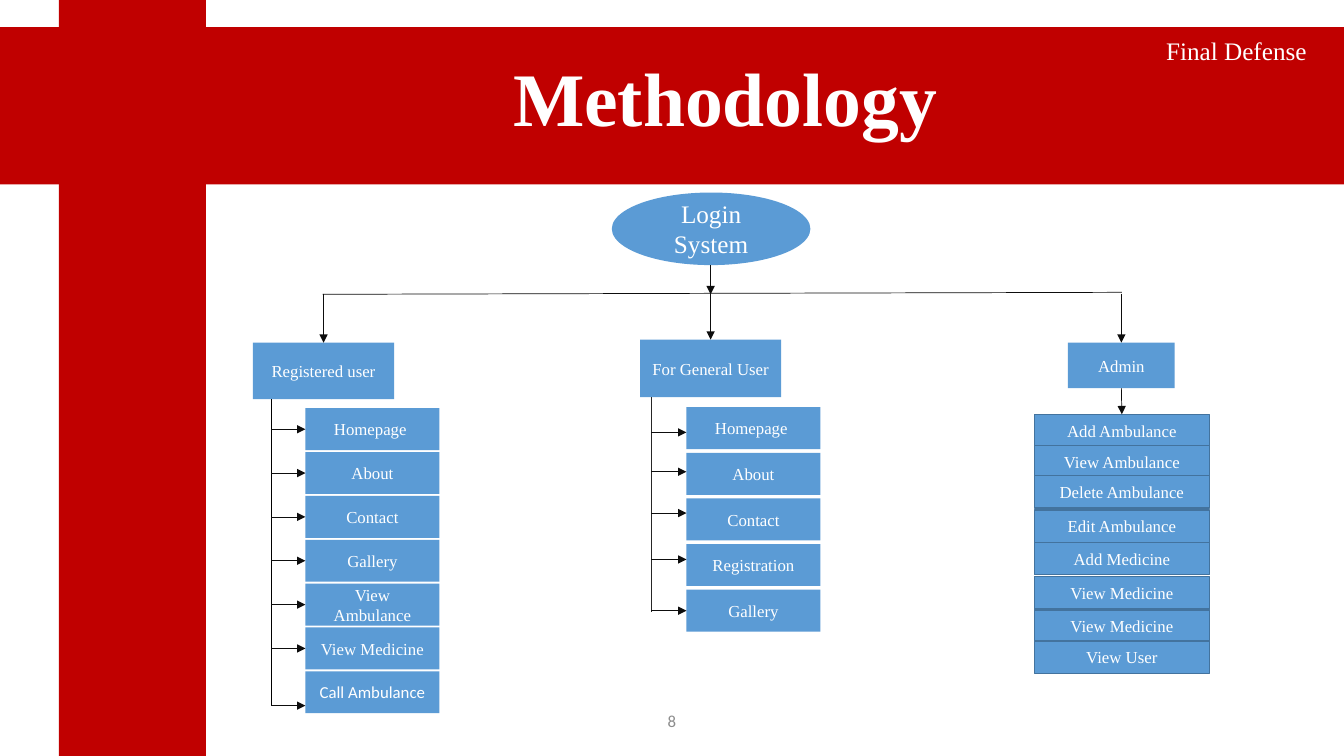
from dataclasses import dataclass
from typing import NamedTuple, Optional

from lxml.etree import SubElement
from pptx import Presentation
from pptx.dml.color import RGBColor as Rgb
from pptx.enum.shapes import MSO_CONNECTOR as Link, MSO_SHAPE as Preset
from pptx.enum.text import MSO_ANCHOR as Anchor, MSO_AUTO_SIZE as AutoSize, PP_ALIGN as Align
from pptx.oxml.ns import qn
from pptx.shapes.autoshape import Shape
from pptx.shapes.connector import Connector
from pptx.util import Inches, Pt

COLUMNS, ROWS = 160, 90
TOP, LEFT, BOTTOM = 0, 1, 2


@dataclass(frozen=True)
class Theme:
    red: str = "C00000"
    blue: str = "5B9BD5"
    outline: str = "43739E"
    white: str = "FFFFFF"
    arrow: str = "0D0D0D"
    black: str = "000000"
    charcoal: str = "262626"
    gray: str = "8C8C8C"
    serif: str = "Times New Roman"
    sans: str = "Calibri"
    title: int = 54
    heading: int = 18
    label: int = 12
    thin: float = 0.5


class Area(NamedTuple):
    column: float
    row: float
    columns: float
    rows: float

    @property
    def middle(self) -> float:
        return self.row + self.rows / 2


class Item(NamedTuple):
    text: str
    font: str


@dataclass(frozen=True)
class Menu:
    name: str
    head: Area
    first: Area
    items: tuple[Item, ...]
    tops: tuple[float, ...]
    outline: Optional[str] = None
    stem: float = 0
    stem_color: str = ""
    arrows: tuple[float, ...] = ()


THEME = Theme()

deck = Presentation()
deck.slide_width, deck.slide_height = Inches(13.333), Inches(7.5)
page = deck.slides.add_slide(deck.slide_layouts[5])


def across(columns: float) -> int:
    return round(deck.slide_width * columns / COLUMNS)


def down(rows: float) -> int:
    return round(deck.slide_height * rows / ROWS)


def frame(area: Area) -> tuple[int, int, int, int]:
    return across(area.column), down(area.row), across(area.columns), down(area.rows)


def evenly(start: float, pitch: float, count: int) -> tuple[float, ...]:
    return tuple(start + pitch * index for index in range(count))


def items(*names: str, font: str = THEME.serif) -> tuple[Item, ...]:
    return tuple(Item(name, font) for name in names)


def write(box: Shape, text: str, *, size: int = THEME.label, font: str = THEME.serif,
          color: str = THEME.white, bold: bool = False, align: Align = Align.CENTER,
          anchor: Anchor = Anchor.MIDDLE, wrap: bool = True) -> None:
    text_frame = box.text_frame
    text_frame.word_wrap = wrap
    text_frame.auto_size = AutoSize.NONE
    text_frame.vertical_anchor = anchor
    para = text_frame.paragraphs[0]
    para.alignment = align
    span = para.add_run()
    span.text = text
    span.font.size, span.font.name, span.font.bold = Pt(size), font, bold
    span.font.color.rgb = Rgb.from_string(color)


def draw(area: Area, *, fill: str = THEME.blue, preset: Preset = Preset.RECTANGLE,
         outline: Optional[str] = None) -> Shape:
    shape = page.shapes.add_shape(preset, *frame(area))
    shape.shadow.inherit = False
    shape.fill.solid()
    shape.fill.fore_color.rgb = Rgb.from_string(fill)
    if outline:
        shape.line.color.rgb = Rgb.from_string(outline)
        shape.line.width = Pt(1)
    else:
        shape.line.fill.background()
    return shape


def connect(start: tuple[float, float], end: tuple[float, float], *,
            color: str = THEME.arrow, head: bool = True) -> Connector:
    line = page.shapes.add_connector(Link.STRAIGHT, across(start[0]), down(start[1]),
                                     across(end[0]), down(end[1]))
    line.line.color.rgb = Rgb.from_string(color)
    line.line.width = Pt(THEME.thin)
    properties = line.element.spPr
    if head:
        SubElement(properties.find(qn("a:ln")), qn("a:tailEnd"), type="triangle")
    SubElement(properties, qn("a:effectLst"))
    return line


def draw_menu(menu: Menu) -> None:
    head = draw(menu.head)
    write(head, menu.name)
    center = menu.head.column + menu.head.columns / 2
    drop = connect((center, BUS_ROW), (center, menu.head.row))
    drop.end_connect(head, TOP)

    areas = [menu.first._replace(row=top) for top in menu.tops]
    boxes = [draw(area, outline=menu.outline) for area in areas]
    for box, item in zip(boxes, menu.items):
        write(box, item.text, font=item.font)

    if not menu.arrows:
        link = connect((center, menu.head.row + menu.head.rows), (center, menu.first.row))
        link.begin_connect(head, BOTTOM)
        link.end_connect(boxes[0], TOP)
        return
    connect((menu.stem, menu.head.row + menu.head.rows), (menu.stem, menu.arrows[-1]),
            color=menu.stem_color, head=False)
    for box, area, row in zip(boxes, areas, menu.arrows):
        joined = abs(row - area.middle) < 0.2
        level = area.middle if joined else row
        arrow = connect((menu.stem, level), (area.column, level))
        if joined:
            arrow.end_connect(box, LEFT)


BUS_ROW = 34.95
MENUS = (
    Menu("Registered user", Area(30.12, 40.8, 16.8, 6.72), Area(36.36, 48.6, 15.96, 5),
         items("Homepage ", "About", "Contact", "Gallery", "View Ambulance", "View Medicine")
         + items("Call Ambulance", font=THEME.sans),
         evenly(48.6, 5.22, 7), stem=32.28, stem_color=THEME.black,
         arrows=evenly(51.1, 5.22, 6) + (84,)),
    Menu("For General User", Area(76.2, 40.44, 16.8, 6.84), Area(81.72, 48.48, 15.96, 5),
         items("Homepage ", "About", "Contact", "Registration", "Gallery"),
         evenly(48.48, 5.43, 5), stem=77.52, stem_color=THEME.charcoal,
         arrows=(51.48, 56.16, 61.08, 66.6, 72.84)),
    Menu("Admin", Area(127.14, 40.8, 12.72, 5.4), Area(123.12, 49.32, 20.88, 3.84),
         items("Add Ambulance", "View Ambulance", "Delete Ambulance", "Edit Ambulance",
               "Add Medicine", "View Medicine", "View Medicine", "View User"),
         (49.32, 53.04, 56.64, 60.72, 64.56, 68.64, 72.6, 76.32), outline=THEME.outline),
)

title = page.shapes.title
for stripe in (Area(0, 3.24, COLUMNS, 18.72), Area(7, 0, 17.52, ROWS)):
    title.element.addprevious(draw(stripe, fill=THEME.red).element)
title.left, title.top, title.width, title.height = frame(Area(59.88, 5.4, 55.8, 12.12))
write(title, "Methodology", size=THEME.title, bold=True, align=Align.LEFT, anchor=Anchor.TOP)

login = draw(Area(72.84, 22.92, 23.64, 8.64), preset=Preset.OVAL)
write(login, "Login System", size=THEME.heading)
connect((84.6, 31.56), (84.6, 35.04))
connect((38.4, 35.04), (133.56, 34.8), head=False)
for menu in MENUS:
    draw_menu(menu)

occasion = page.shapes.add_textbox(*frame(Area(137.64, 3.6, 21.72, 4.8)))
write(occasion, "Final Defense", size=THEME.heading, align=Align.LEFT, anchor=Anchor.TOP)
number = page.shapes.add_textbox(*frame(Area(53, 83.4, 54, 4.8)))
write(number, "8", font=THEME.sans, color=THEME.gray)

deck.save("out.pptx")
